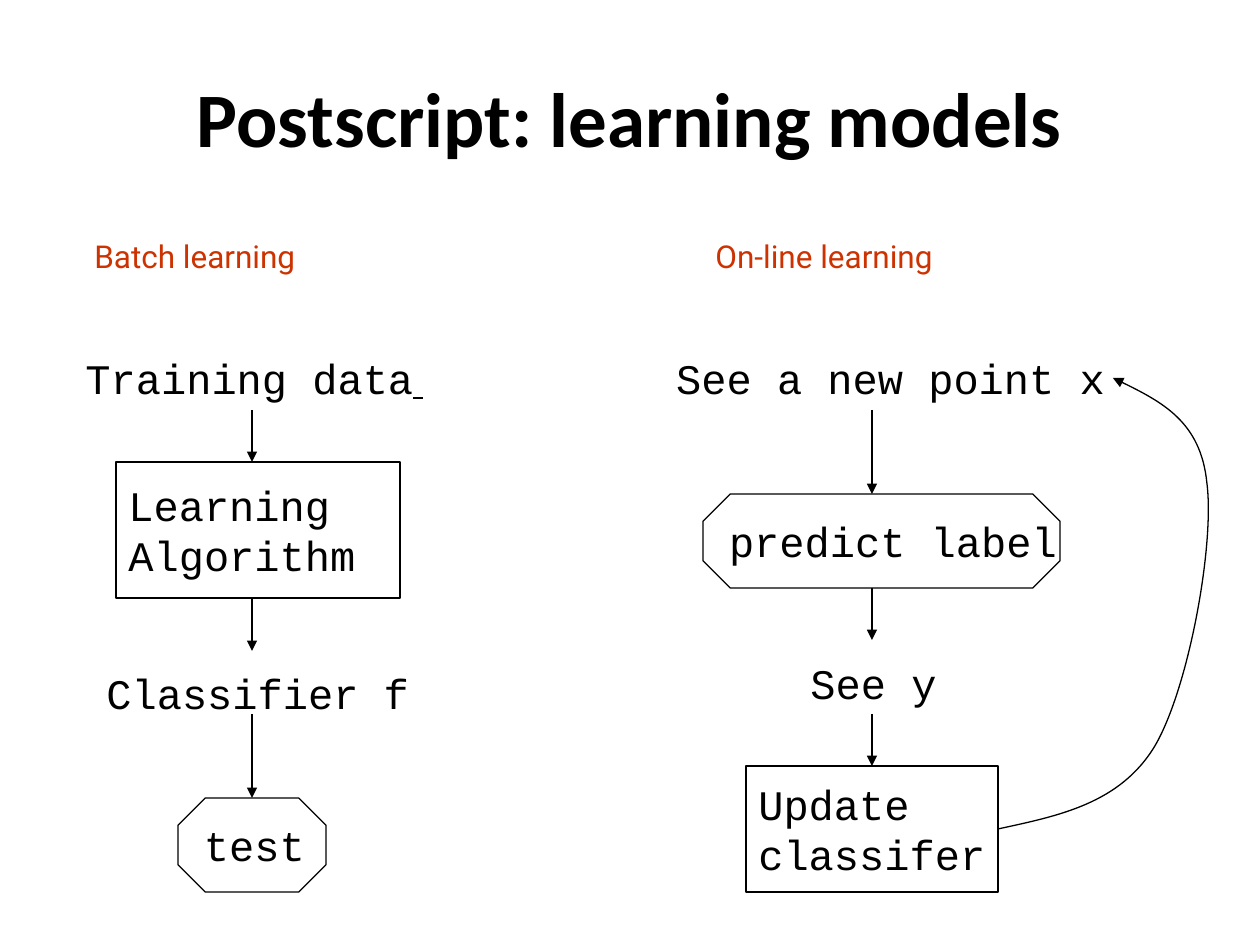
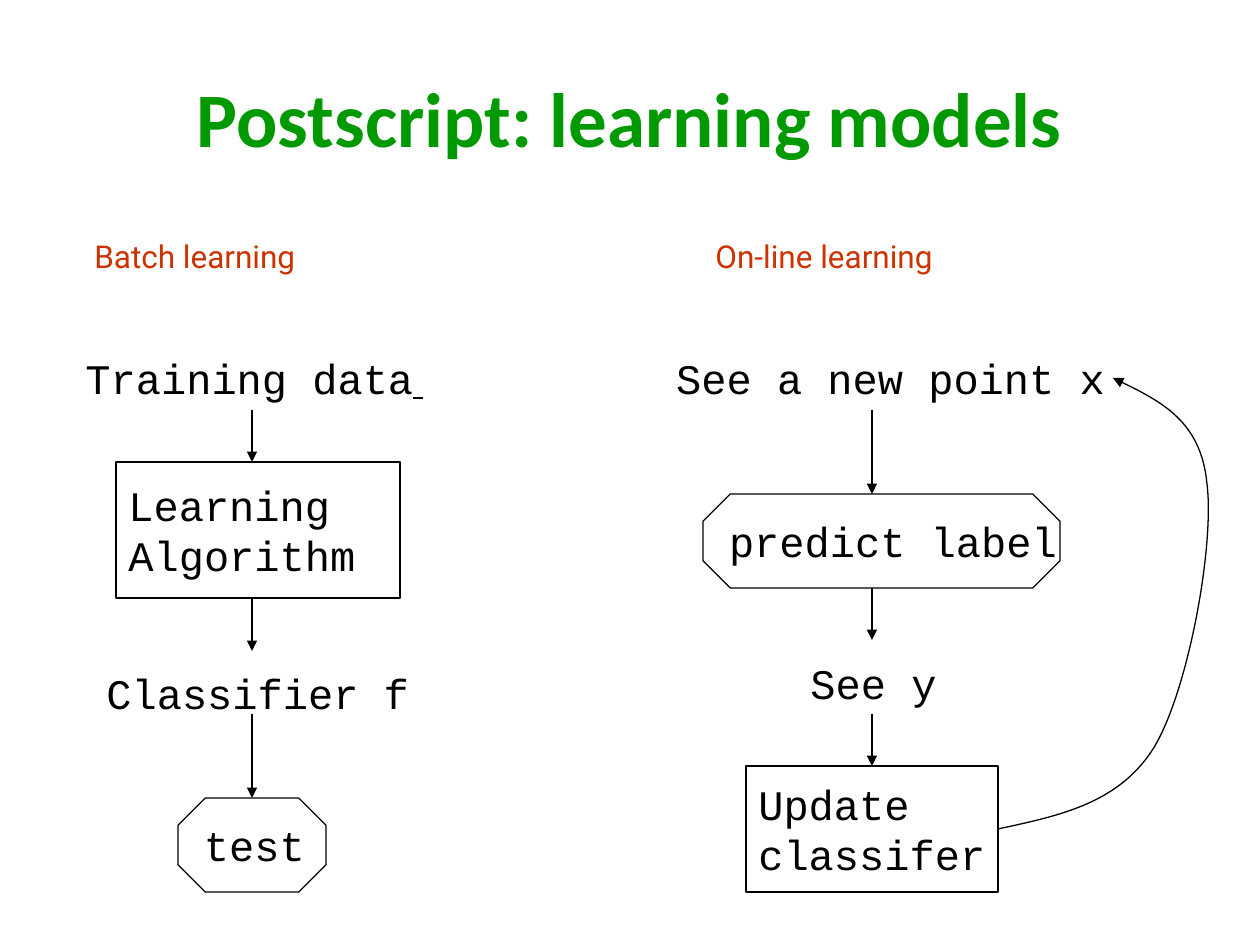
from lxml import etree
from pptx import Presentation
from pptx.dml.color import RGBColor
from pptx.enum.shapes import MSO_CONNECTOR, MSO_SHAPE
from pptx.enum.text import MSO_ANCHOR, MSO_AUTO_SIZE, PP_ALIGN
from pptx.oxml.ns import qn
from pptx.util import Emu, Pt

# Shared style
PX = 914400 / 126
COLORS = {"black": "000000", "green": "009900", "red": "CC3300"}
FONTS = {
    "title": {"name": "Calibri", "size": Pt(44), "bold": True},
    "heading": {"name": "Roboto", "size": Pt(18)},
    "step": {"name": "Courier New", "size": Pt(24)},
    "blank": {"name": "Roboto", "size": Pt(24), "underline": True},
}
LINE_WIDTH = Pt(0.75)

# Content: both slides show one diagram under a title of another colour
TITLE = "Postscript: learning models"
TITLE_BOX = (63, 38, 1134, 157)
TITLE_COLORS = ["black", "green"]

HEADINGS = [
    ("Batch learning", (82, 231, 325, 59)),
    ("On-line learning", (703, 231, 369, 59)),
]
# text, underlined blank after it, box, alignment, wrap
STEP_LABELS = [
    ("Training data", " ", (73, 346, 363, 53), PP_ALIGN.CENTER, False),
    ("Classifier f", "", (94, 661, 357, 53), PP_ALIGN.LEFT, True),
    ("See a new point x", "", (651, 346, 479, 53), PP_ALIGN.CENTER, False),
    ("See y", "", (798, 651, 168, 53), PP_ALIGN.LEFT, True),
]
STEP_SHAPES = {
    "learn": (MSO_SHAPE.RECTANGLE, ["Learning", "Algorithm"], (116, 462, 284, 136)),
    "predict": (MSO_SHAPE.OCTAGON, ["predict label"], (703, 494, 357, 94)),
    "test": (MSO_SHAPE.OCTAGON, ["test"], (178, 798, 148, 94)),
    "update": (MSO_SHAPE.RECTANGLE, ["Update", "classifer"], (746, 766, 252, 126)),
}
# centre line of each column: (top, bottom, shape joined at its top)
ARROWS = {
    252: [(410, 462, None), (598, 651, None), (714, 798, None)],
    872: [(410, 494, None), (588, 640, None), (714, 766, "update")],
}
# start, then two control points and an end for each curve
FEEDBACK_LOOP = [
    (998, 829),
    (1058, 816), (1120, 804), (1155, 746),
    (1189, 688), (1215, 544), (1207, 483),
    (1201, 422), (1157, 399), (1113, 378),
]


def scale(values):
    return [Emu(round(value * PX)) for value in values]


def color(name):
    return RGBColor.from_string(COLORS[name])


def add_run(paragraph, text, style, color_name="black"):
    run = paragraph.add_run()
    run.text = text
    for attribute, value in FONTS[style].items():
        setattr(run.font, attribute, value)
    run.font.color.rgb = color(color_name)


def set_frame(frame, **values):
    for attribute, value in values.items():
        setattr(frame, attribute, value)


def draw_line(shape, arrow=False):
    shape.line.color.rgb = color("black")
    shape.line.width = LINE_WIDTH
    if arrow:
        etree.SubElement(shape.line._get_or_add_ln(), qn("a:tailEnd"), type="triangle")


def add_title(slide, color_name):
    title = slide.shapes.title
    title.left, title.top, title.width, title.height = scale(TITLE_BOX)
    set_frame(title.text_frame, vertical_anchor=MSO_ANCHOR.MIDDLE)
    paragraph = title.text_frame.paragraphs[0]
    paragraph.alignment = PP_ALIGN.CENTER
    add_run(paragraph, TITLE, "title", color_name)


def add_label(slide, box, alignment=PP_ALIGN.LEFT, wrap=False):
    frame = slide.shapes.add_textbox(*scale(box)).text_frame
    set_frame(frame, word_wrap=wrap, auto_size=MSO_AUTO_SIZE.SHAPE_TO_FIT_TEXT)
    paragraph = frame.paragraphs[0]
    paragraph.alignment = alignment
    return paragraph


def add_step_shape(slide, kind, lines, box):
    shape = slide.shapes.add_shape(kind, *scale(box))
    shape.shadow.inherit = False
    shape.fill.background()
    draw_line(shape)
    if kind == MSO_SHAPE.OCTAGON:
        shape.adjustments[0] = 0.29
    frame = shape.text_frame
    set_frame(frame, word_wrap=False, vertical_anchor=MSO_ANCHOR.MIDDLE)
    for index, text in enumerate(lines):
        paragraph = frame.add_paragraph() if index else frame.paragraphs[0]
        paragraph.alignment = PP_ALIGN.LEFT
        add_run(paragraph, text, "step")
    return shape


def add_arrow(slide, x, top, bottom, target):
    connector = slide.shapes.add_connector(
        MSO_CONNECTOR.STRAIGHT, *scale((x, top, x, bottom)))
    if target is not None:
        connector.end_connect(target, 0)
    draw_line(connector, arrow=True)
    etree.SubElement(connector._element.spPr, qn("a:effectLst"))


def add_feedback_loop(slide):
    start, *points = [scale(point) for point in FEEDBACK_LOOP]
    builder = slide.shapes.build_freeform(*start)
    builder.add_line_segments(points, close=False)
    shape = builder.convert_to_shape()
    # Join every three straight segments into one cubic curve
    segments = shape._element.xpath(".//a:lnTo")
    for first in range(0, len(segments), 3):
        curve = etree.Element(qn("a:cubicBezTo"))
        segments[first].addprevious(curve)
        for segment in segments[first:first + 3]:
            curve.append(segment[0])
            segment.getparent().remove(segment)
    shape.shadow.inherit = False
    shape.fill.background()
    draw_line(shape, arrow=True)


def add_diagram(slide):
    # Labels
    for text, box in HEADINGS:
        add_run(add_label(slide, box), text, "heading", "red")
    for text, blank, box, alignment, wrap in STEP_LABELS:
        paragraph = add_label(slide, box, alignment, wrap)
        add_run(paragraph, text, "step")
        if blank:
            add_run(paragraph, blank, "blank")
    # Outlined steps and the arrows between them
    shapes = {name: add_step_shape(slide, *step) for name, step in STEP_SHAPES.items()}
    for x, spans in ARROWS.items():
        for top, bottom, target in spans:
            add_arrow(slide, x, top, bottom, shapes.get(target))
    add_feedback_loop(slide)


def main():
    presentation = Presentation()
    presentation.slide_width, presentation.slide_height = scale((1260, 945))
    for color_name in TITLE_COLORS:
        slide = presentation.slides.add_slide(presentation.slide_layouts[5])
        add_title(slide, color_name)
        add_diagram(slide)
    presentation.save("out.pptx")


if __name__ == "__main__":
    main()
